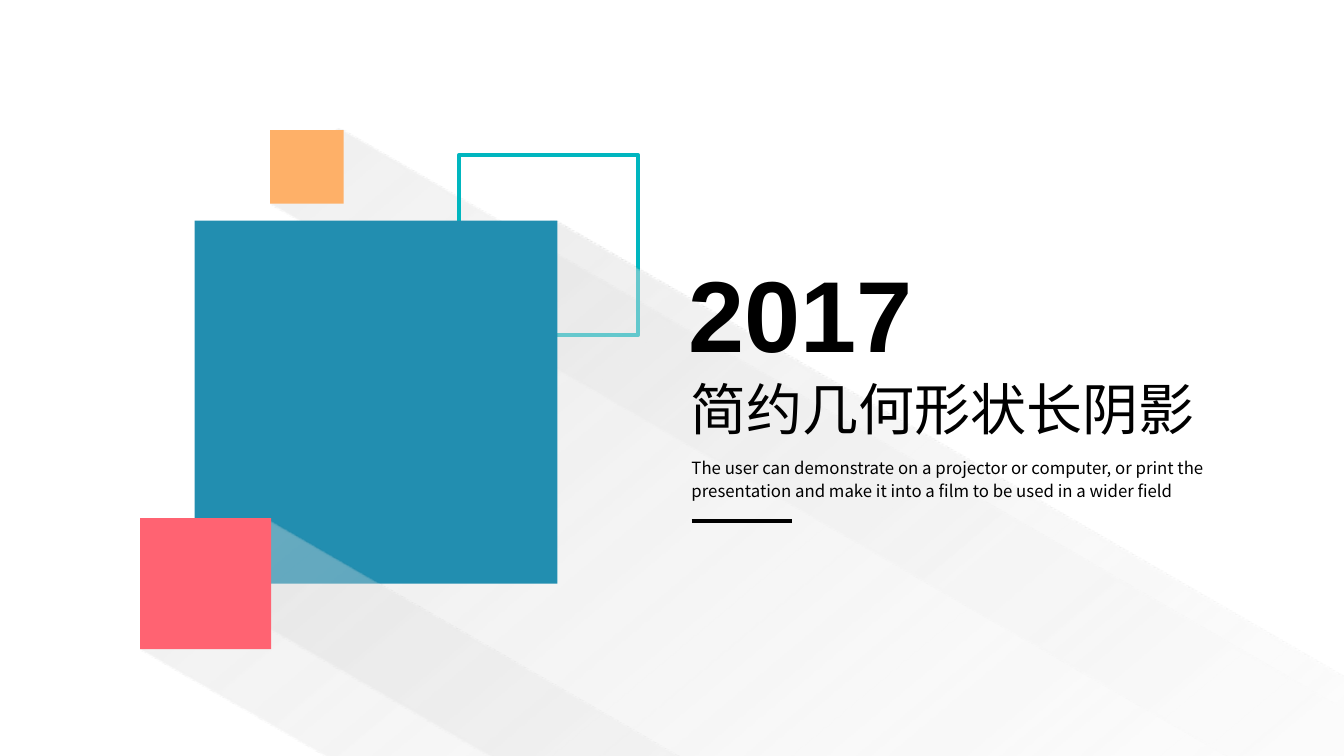
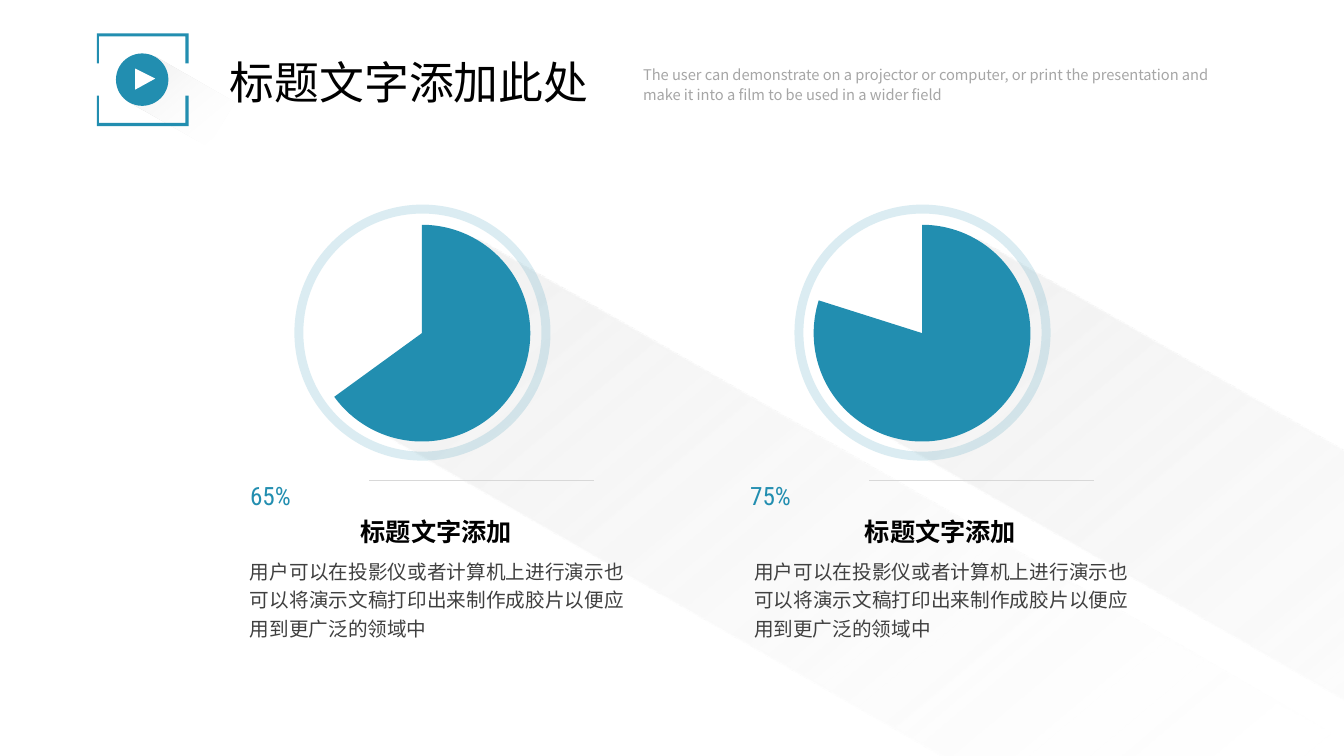
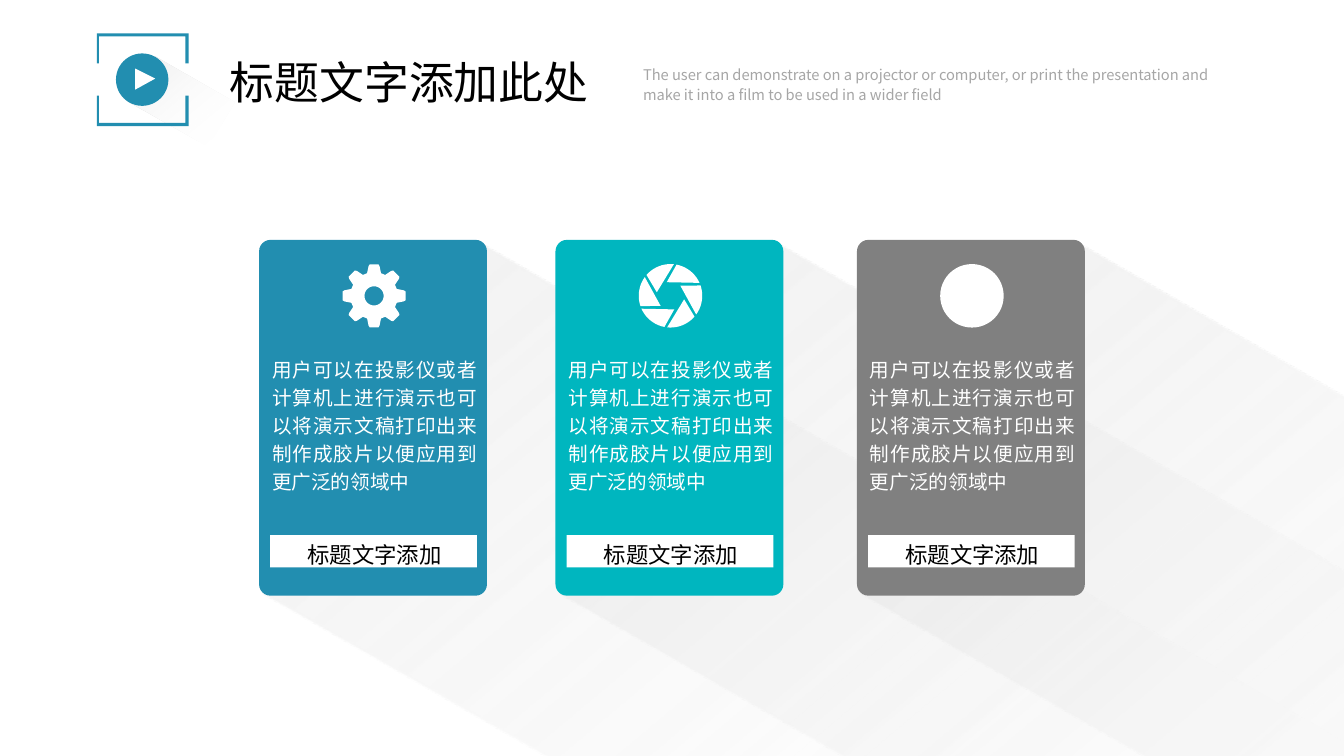
import math
import pptx
import pptx.dml.color
import pptx.enum.shapes
import pptx.enum.text
import pptx.oxml
import pptx.oxml.ns
import pptx.util

Inches = pptx.util.Inches
SHAPE = pptx.enum.shapes.MSO_SHAPE
ALIGN = pptx.enum.text.PP_ALIGN

BLUE, TEAL, ORANGE, PINK = "228EB0", "00B6BF", "FEB068", "FF6372"
BLACK, WHITE, GRAY, DARK = "000000", "FFFFFF", "808080", "404040"
MUTED, RULE = "A6A6A6", "D8D8D8"
CJK = "Noto Sans CJK SC"

TILT = 30
HEADING = "标题文字添加此处"
LABEL = "标题文字添加"
INTRO = ("The user can demonstrate on a projector or computer, or print the "
         "presentation and make it into a film to be used in a wider field")
BODY = "用户可以在投影仪或者计算机上进行演示也可以将演示文稿打印出来制作成胶片以便应用到更广泛的领域中"

COVER_SHADOWS = {
    "orange": [(2.68, 2.03), (3.36, 1.28), (15.88, 8.52), (15.39, 9.37)],
    "blue": [(1.9, 5.79), (5.49, 2.19), (16.8, 8.73), (14.34, 12.99)],
    "pink": [(1.4, 6.44), (2.67, 5.16), (14.1, 11.75), (13.23, 13.25)],
}
HEADER_SHADOW = [(1.27, 1), (1.45, 0.92), (1.52, 0.85), (1.54, 0.56), (2.32, 1.01), (2.06, 1.45)]
BRACKETS = [
    [(0.96, 0.95), (0.98, 0.95), (0.98, 1.22), (1.84, 1.22),
     (1.84, 0.95), (1.87, 0.95), (1.87, 1.25), (0.96, 1.25)],
    [(0.96, 0.33), (1.87, 0.33), (1.87, 0.63), (1.84, 0.63),
     (1.84, 0.36), (0.98, 0.36), (0.98, 0.63), (0.96, 0.63)],
]
PLAY = [(1.34, 0.68), (1.34, 0.89), (1.54, 0.78)]

DIALS = [("65%", 144, 2.92, 2.38), ("75%", 197.6, 7.88, 7.38)]
DIAL_SHADOW = [(0.77, 4.24), (1.83, 2.38), (10.64, 7.47), (9.57, 9.31)]

CARDS = [("gear", BLUE, 2.57), ("aperture", TEAL, 5.51), ("disc", GRAY, 8.5)]
CARD_SHADOW = [(0.04, 5.89), (2.22, 2.43), (10.96, 7.48), (8.93, 10.99)]
TOOTH = [(-17, 0.235), (-10.5, 0.3), (-8, 0.315), (8, 0.315), (10.5, 0.3), (17, 0.235)]
ICON_RADIUS = 0.315


def color(value):
    return pptx.dml.color.RGBColor.from_string(value)


def paint(sp, fill=None, line=None, width=1, alpha=None):
    sp.shadow.inherit = False
    if fill:
        sp.fill.solid()
        sp.fill.fore_color.rgb = color(fill)
    else:
        sp.fill.background()
    if line:
        sp.line.color.rgb = color(line)
        sp.line.width = pptx.util.Pt(width)
    else:
        sp.line.fill.background()
    if alpha:
        clr = sp._element.spPr.find(pptx.oxml.ns.qn("a:solidFill"))[0]
        clr.append(pptx.oxml.parse_xml(
            f'<a:alpha {pptx.oxml.ns.nsdecls("a")} val="{alpha * 1000}"/>'))
    return sp


def shape(slide, kind, box, adjust=(), **look):
    sp = slide.shapes.add_shape(kind, *map(Inches, box))
    for i, value in enumerate(adjust):
        sp.adjustments[i] = value
    return paint(sp, **look)


def outline(slide, contours, **look):
    paths = [[(Inches(x), Inches(y)) for x, y in points] for points in contours]
    builder = slide.shapes.build_freeform(*paths[0][0])
    for i, points in enumerate(paths):
        if i:
            builder.move_to(*points[0])
        builder.add_line_segments(points[1:], close=True)
    return paint(builder.convert_to_shape(), **look)


def turn(x, y, degrees):
    c, s = math.cos(math.radians(degrees)), math.sin(math.radians(degrees))
    return x * c - y * s, x * s + y * c


def long_shadow(slide, points, alpha=40, middle="F2F2F2", dx=0):
    sp = outline(slide, [[turn(x + dx, y, -TILT) for x, y in points]])
    cx, cy = turn(sp.left + sp.width / 2, sp.top + sp.height / 2, TILT)
    sp.left, sp.top = round(cx - sp.width / 2), round(cy - sp.height / 2)
    sp.rotation = TILT
    stops = "".join(
        f'<a:gs pos="{pos * 1000}"><a:srgbClr val="{c}"><a:alpha val="{a * 1000}"/></a:srgbClr></a:gs>'
        for pos, c, a in [(0, "D9D9D9", alpha), (85, middle, 0), (100, WHITE, 0)])
    gradient = pptx.oxml.parse_xml(
        f'<a:gradFill {pptx.oxml.ns.nsdecls("a")} rotWithShape="1"><a:gsLst>{stops}</a:gsLst>'
        f'<a:lin ang="{20 * 60000}" scaled="0"/></a:gradFill>')
    spPr = sp._element.spPr
    spPr.replace(spPr.find(pptx.oxml.ns.qn("a:noFill")), gradient)


def rule(slide, x1, x2, y, line, width):
    cxn = slide.shapes.add_connector(
        pptx.enum.shapes.MSO_CONNECTOR.STRAIGHT, *map(Inches, (x1, y, x2, y)))
    cxn.line.color.rgb = color(line)
    cxn.line.width = pptx.util.Pt(width)
    cxn._element.spPr.append(pptx.oxml.parse_xml(
        f'<a:effectLst {pptx.oxml.ns.nsdecls("a")}/>'))


def write(slide, text, box, size, fill=BLACK, font="Arial", bold=False,
          align=ALIGN.LEFT, spacing=1.0, inset=True, title=False):
    if title:
        sp = slide.shapes.title
        slide.shapes._spTree.append(sp._element)
        sp.left, sp.top, sp.width, sp.height = map(Inches, box)
    else:
        sp = slide.shapes.add_textbox(*map(Inches, box))
    tf = sp.text_frame
    tf.word_wrap = True
    tf.auto_size = pptx.enum.text.MSO_AUTO_SIZE.NONE
    tf.vertical_anchor = pptx.enum.text.MSO_ANCHOR.TOP
    if not inset:
        tf.margin_left = tf.margin_top = tf.margin_right = tf.margin_bottom = 0
    p = tf.paragraphs[0]
    p.alignment = align
    p.line_spacing = spacing
    r = p.add_run()
    r.text = text
    r.font.size = pptx.util.Pt(size)
    r.font.bold = bold
    r.font.name = font
    r.font.color.rgb = color(fill)
    r._r.get_or_add_rPr().append(pptx.oxml.parse_xml(
        f'<a:ea {pptx.oxml.ns.nsdecls("a")} typeface="{CJK}"/>'))


def polar(cx, cy, degrees, radius):
    a = math.radians(degrees)
    return cx + radius * math.cos(a), cy + radius * math.sin(a)


def gear(slide, cx, cy):
    teeth = [polar(cx, cy, 45 * i + a, r) for i in range(8) for a, r in TOOTH]
    hole = [polar(cx, cy, -a, 0.095) for a in range(0, 360, 10)]
    outline(slide, [teeth, hole], fill=WHITE)


def aperture(slide, cx, cy):
    blades = []
    for i in range(6):
        arc = [(-84 - 5.5 * k, ICON_RADIUS) for k in range(11)]
        blades.append([polar(cx, cy, a - 60 * i, r) for a, r in arc + [(-165.5, 0.14)]])
    outline(slide, blades, fill=WHITE)


def disc(slide, cx, cy):
    shape(slide, SHAPE.OVAL, (cx - ICON_RADIUS, cy - ICON_RADIUS, 2 * ICON_RADIUS, 2 * ICON_RADIUS),
          fill=WHITE)


ICONS = {"gear": gear, "aperture": aperture, "disc": disc}


def new_slide(prs):
    return prs.slides.add_slide(prs.slide_layouts[5])


def header(slide):
    long_shadow(slide, HEADER_SHADOW, alpha=50, middle=WHITE)
    outline(slide, BRACKETS, fill=BLUE)
    shape(slide, SHAPE.OVAL, (1.15, 0.53, 0.52, 0.52), fill=BLUE)
    outline(slide, [PLAY], fill=WHITE)
    write(slide, HEADING, (2.18, 0.49, 3.79, 0.64), 32, title=True)
    write(slide, INTRO, (6.28, 0.58, 6.09, 0.5), 10.5, fill=MUTED, font=CJK, spacing=1.14)


def cover(prs):
    slide = new_slide(prs)
    long_shadow(slide, COVER_SHADOWS["orange"])
    shape(slide, SHAPE.RECTANGLE, (2.68, 1.29, 0.73, 0.73), fill=ORANGE)
    shape(slide, SHAPE.RECTANGLE, (4.55, 1.54, 1.78, 1.78), line=TEAL, width=3)
    long_shadow(slide, COVER_SHADOWS["blue"], alpha=60)
    shape(slide, SHAPE.RECTANGLE, (1.93, 2.19, 3.6, 3.6), fill=BLUE)
    write(slide, "简约几何形状长阴影", (6.75, 3.67, 5.25, 0.77), 40, title=True)
    write(slide, "2017", (6.73, 2.45, 2.45, 1.31), 72, bold=True)
    rule(slide, 6.86, 7.86, 5.17, BLACK, 3)
    write(slide, INTRO, (6.76, 4.46, 6.19, 0.56), 12, font=CJK, spacing=1.14)
    long_shadow(slide, COVER_SHADOWS["pink"])
    shape(slide, SHAPE.RECTANGLE, (1.39, 5.14, 1.3, 1.3), fill=PINK)


def dials(prs):
    slide = new_slide(prs)
    for _, _, x, _ in DIALS:
        long_shadow(slide, DIAL_SHADOW, dx=x)
    for percent, end, x, text_x in DIALS:
        shape(slide, SHAPE.DONUT, (x, 2.03, 2.54, 2.54), [0.035], fill=BLUE, alpha=16)
        shape(slide, SHAPE.PIE, (x + 0.19, 2.23, 2.15, 2.15), [270 * 0.6, end * 0.6], fill=BLUE)
        write(slide, percent, (x - 0.44, 4.77, 0.87, 0.66), 18, fill=BLUE,
              font="Roboto Condensed", inset=False)
        rule(slide, x + 0.74, x + 2.97, 4.77, RULE, 1)
        write(slide, BODY, (text_x, 5.46, 3.91, 0.95), 14, fill=DARK,
              align=ALIGN.JUSTIFY, spacing=1.2)
        write(slide, LABEL, (text_x + 1.1, 5.01, 2.45, 0.44), 18, bold=True,
              align=ALIGN.JUSTIFY, spacing=1.2)
    header(slide)


def cards(prs):
    slide = new_slide(prs)
    for _, _, x in CARDS:
        long_shadow(slide, CARD_SHADOW, dx=x)
    header(slide)
    for icon, fill, x in CARDS:
        shape(slide, SHAPE.ROUNDED_RECTANGLE, (x, 2.38, 2.26, 3.53), [0.05], fill=fill)
        ICONS[icon](slide, x + 1.14, 2.935)
        shape(slide, SHAPE.RECTANGLE, (x + 0.11, 5.31, 2.05, 0.32), fill=WHITE)
        write(slide, LABEL, (x + 0.11, 5.27, 2.07, 0.42), 16, align=ALIGN.CENTER, spacing=1.2)
        write(slide, BODY, (x + 0.03, 3.45, 2.23, 1.51), 14, fill=WHITE,
              align=ALIGN.JUSTIFY, spacing=1.2)


def main():
    prs = pptx.Presentation()
    prs.slide_width, prs.slide_height = Inches(13.33), Inches(7.5)
    cover(prs)
    dials(prs)
    cards(prs)
    prs.save("out.pptx")


if __name__ == "__main__":
    main()
